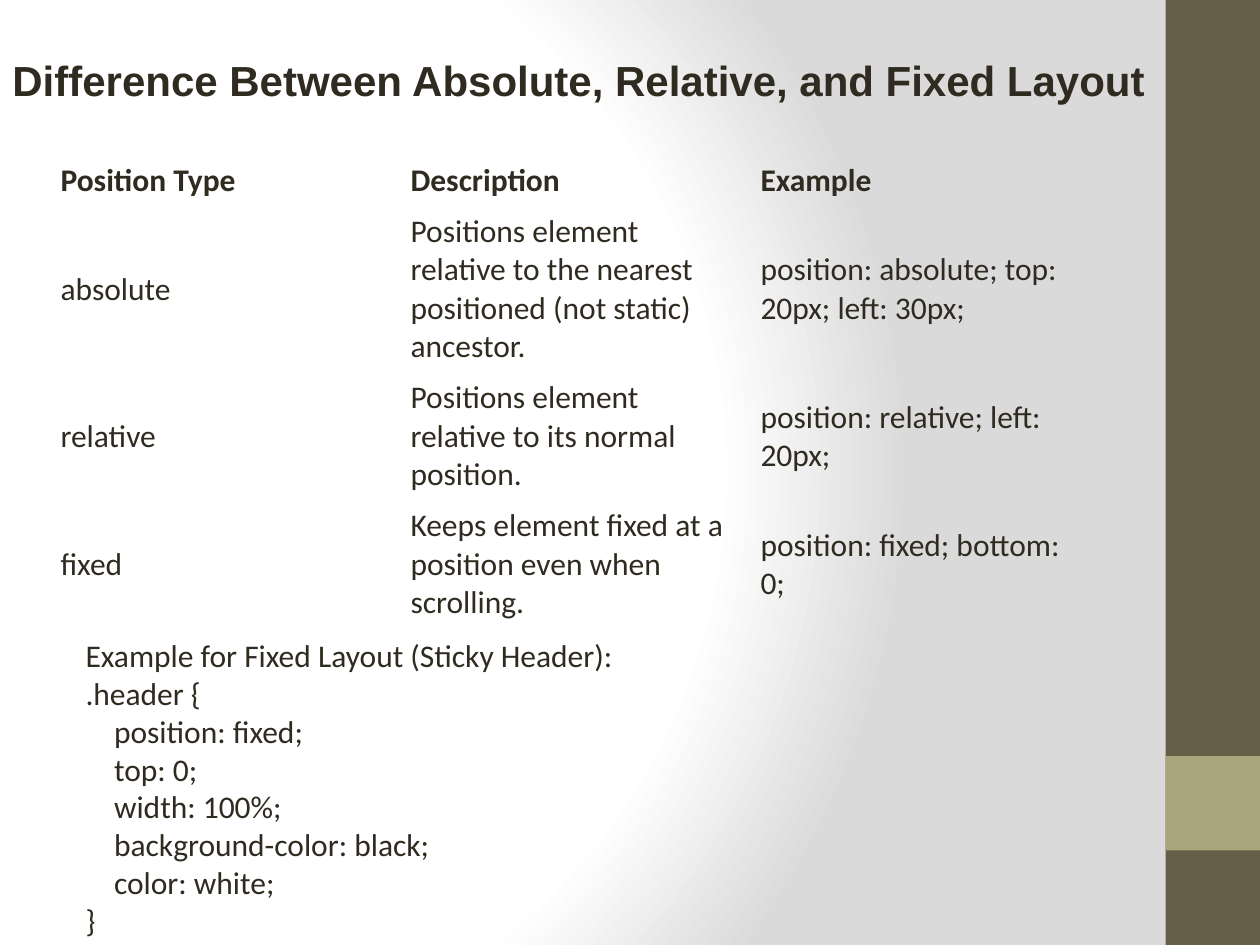
from pptx import Presentation
from pptx.dml.color import RGBColor
from pptx.enum.shapes import MSO_SHAPE
from pptx.enum.text import MSO_ANCHOR
from pptx.oxml import parse_xml
from pptx.oxml.ns import nsdecls, qn
from pptx.util import Pt

INK = RGBColor(0x2F, 0x2B, 0x20)
BROWN = RGBColor(0x67, 0x5E, 0x47)
OLIVE = RGBColor(0xA9, 0xA5, 0x7C)
WHITE = RGBColor(0xFF, 0xFF, 0xFF)
GREY = RGBColor(0xDA, 0xDA, 0xDA)

NO_TABLE_STYLE = "{2D5ABB26-0587-4C30-8999-92F81FD0307C}"
POSITION_TYPES = [
    ("Position Type", "Description", "Example"),
    ("absolute",
     "Positions element relative to the nearest positioned (not static) ancestor.",
     "position: absolute; top: 20px; left: 30px;"),
    ("relative",
     "Positions element relative to its normal position.",
     "position: relative; left: 20px;"),
    ("fixed",
     "Keeps element fixed at a position even when scrolling.",
     "position: fixed; bottom: 0;"),
]
DECLARATIONS = ["position: fixed;", "top: 0;", "width: 100%;",
                "background-color: black;", "color: white;"]
CODE_INDENT = 16.3
STICKY_HEADER = [
    ("Example for Fixed Layout (Sticky Header):", 0),
    (".header {", 0),
    *[(declaration, CODE_INDENT) for declaration in DECLARATIONS],
    ("}", 0),
]


class SlideBuilder:
    def __init__(self, slide, font="Calibri", size=18, color=INK):
        self.slide = slide
        self.font = font
        self.size = size
        self.color = color

    def radial_background(self, stops):
        """Fill the background with a circular gradient of (percent, color) stops."""
        self.slide.background.fill.solid()
        properties = self.slide.element.cSld.bg.bgPr
        properties.remove(properties[0])
        stop_xml = "".join(
            f'<a:gs pos="{percent * 1000}"><a:srgbClr val="{color}"/></a:gs>'
            for percent, color in stops)
        properties.insert(0, parse_xml(
            f'<a:gradFill {nsdecls("a")} rotWithShape="1"><a:gsLst>{stop_xml}</a:gsLst>'
            '<a:path path="circle"><a:fillToRect l="20000" t="50000" r="100000" b="50000"/>'
            '</a:path></a:gradFill>'))

    def rectangle(self, left, top, width, height, color):
        shape = self.slide.shapes.add_shape(
            MSO_SHAPE.RECTANGLE, Pt(left), Pt(top), Pt(width), Pt(height))
        shape.shadow.inherit = False
        shape.fill.solid()
        shape.fill.fore_color.rgb = color
        shape.line.fill.background()

    def add_span(self, para, text, size=None, font=None, bold=False):
        span = para.add_run()
        span.text = text
        span.font.name = font or self.font
        span.font.size = Pt(size or self.size)
        span.font.bold = bold
        span.font.color.rgb = self.color

    def text_box(self, left, top, width, height, lines, **style):
        """Place one paragraph for each (text, indent) line."""
        box = self.slide.shapes.add_textbox(Pt(left), Pt(top), Pt(width), Pt(height))
        frame = box.text_frame
        frame.word_wrap = True
        for index, (text, indent) in enumerate(lines):
            para = frame.add_paragraph() if index else frame.paragraphs[0]
            if indent:
                para._p.get_or_add_pPr().set("marL", str(int(Pt(indent))))
            self.add_span(para, text, **style)

    def table(self, left, top, width, row_height, rows):
        """Place an unfilled table with equal columns and a bold first row."""
        frame = self.slide.shapes.add_table(
            len(rows), len(rows[0]), Pt(left), Pt(top), Pt(width), Pt(row_height * len(rows)))
        table = frame.table
        table.first_row = False
        table.horz_banding = False
        table._tbl.tblPr.find(qn("a:tableStyleId")).text = NO_TABLE_STYLE
        for row_index, row in enumerate(rows):
            for column_index, text in enumerate(row):
                cell = table.cell(row_index, column_index)
                cell.fill.background()
                cell.vertical_anchor = MSO_ANCHOR.MIDDLE
                self.add_span(cell.text_frame.paragraphs[0], text, bold=row_index == 0)


def main():
    deck = Presentation()
    deck.slide_width, deck.slide_height = Pt(720), Pt(540)
    page = SlideBuilder(deck.slides.add_slide(deck.slide_layouts[6]))

    page.radial_background([(0, WHITE), (75, WHITE), (100, GREY)])
    page.rectangle(666, 0, 54, 540, BROWN)
    page.rectangle(666, 432, 54, 54, OLIVE)
    page.table(27.4, 88.6, 600, 29, POSITION_TYPES)
    page.text_box(0, 27.4, 668, 65.4,
                  [("Difference Between Absolute, Relative, and Fixed Layout", 0)],
                  size=24, font="Arial", bold=True)
    page.text_box(41.8, 360, 534, 204, STICKY_HEADER)

    deck.save("out.pptx")


if __name__ == "__main__":
    main()
